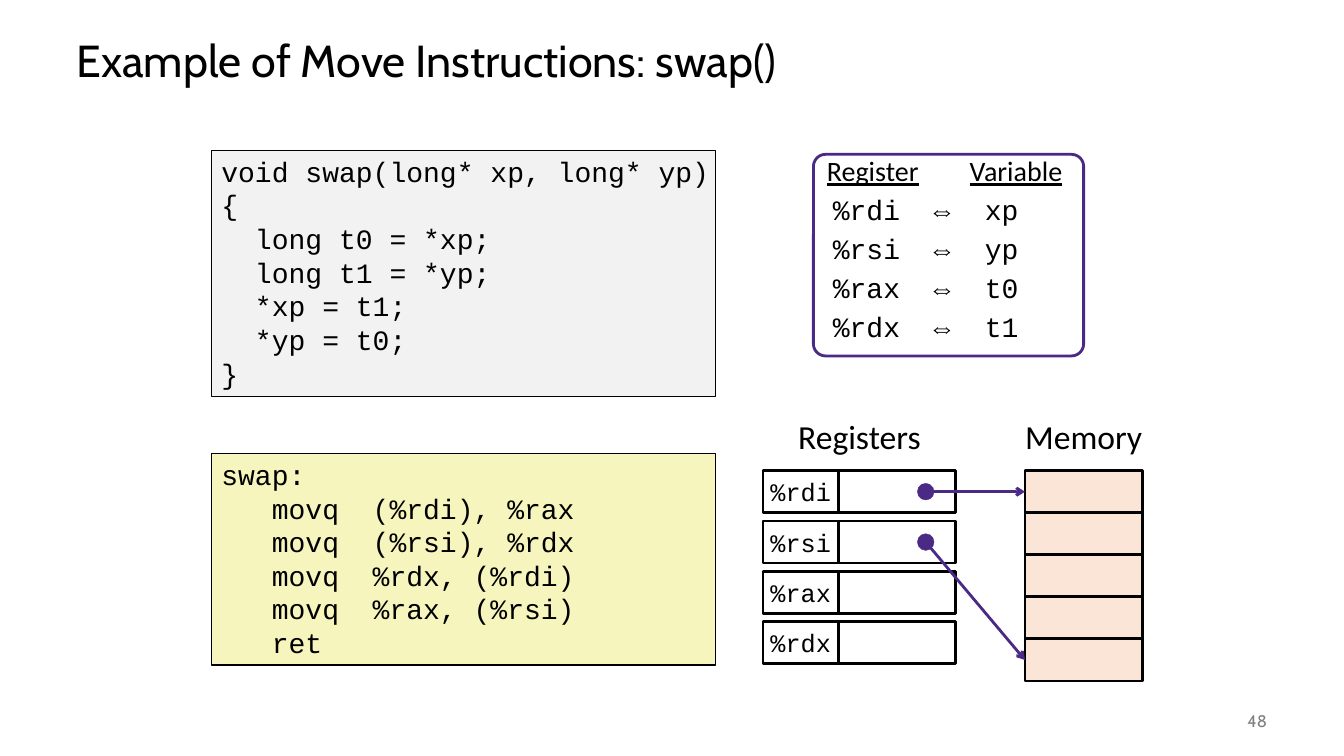
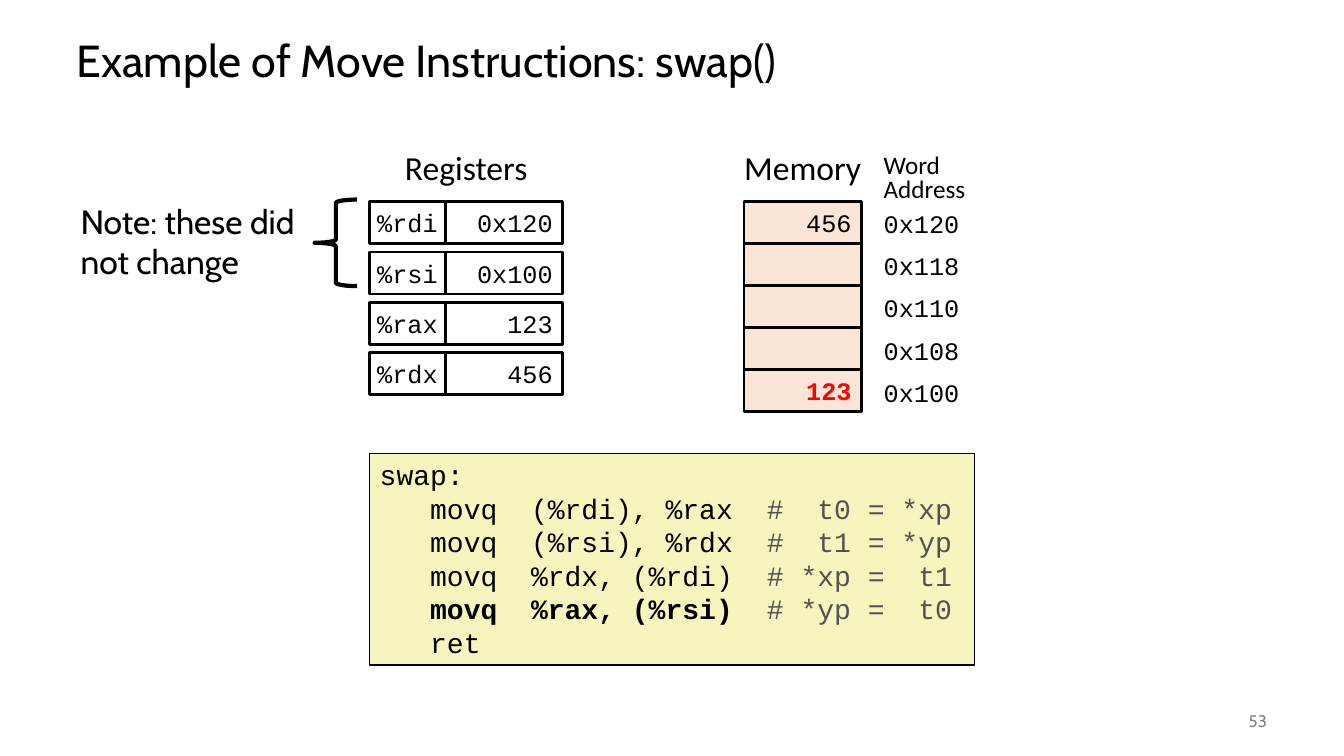
import pptx
import pptx.util
import pptx.dml.color
import pptx.enum.shapes
import pptx.enum.text
import pptx.oxml
import pptx.oxml.ns

Cm = pptx.util.Cm
Pt = pptx.util.Pt
KIND = pptx.enum.shapes.MSO_SHAPE
ALIGN = pptx.enum.text.PP_ALIGN
ANCHOR = pptx.enum.text.MSO_ANCHOR

BLACK, WHITE, GRAY, NOTE = "000000", "FFFFFF", "808080", "525252"
PURPLE, PEACH, YELLOW, SILVER = "4B2A85", "FBE5D6", "F6F5BD", "F2F2F2"
RED = "FF0000"

HEAD = dict(name="Cabin", size=Pt(32), ink=BLACK)
SIDE = dict(HEAD, size=Pt(24))
PAGE = dict(HEAD, size=Pt(12), ink=GRAY)
LABEL = dict(name="Calibri", size=Pt(24), ink=BLACK)
MONO = dict(name="Courier New", size=Pt(18), ink=BLACK)
CODE = dict(MONO, size=Pt(20))
CENTER = dict(alignment=ALIGN.CENTER)
RIGHT = dict(alignment=ALIGN.RIGHT)

PAD = (0.25, 0.13, 0.25, 0.13)
TIGHT = (0, 0, 0, 0)
ROW, PITCH = 1.06, 1.27
NAME, VALUE = 1.9, 2.96
NAMES = ["%rdi", "%rsi", "%rax", "%rdx"]
MOVES = ["movq  (%rdi), %rax", "movq  (%rsi), %rdx",
         "movq  %rdx, (%rdi)", "movq  %rax, (%rsi)"]
NOTES = ["#  t0 = *xp", "#  t1 = *yp", "# *xp =  t1", "# *yp =  t0"]


def ink(code):
    return pptx.dml.color.RGBColor.from_string(code)


def style(item, looks):
    for key, value in looks.items():
        if key == "ink":
            item.color.rgb = ink(value)
        else:
            setattr(item, key, value)


def write(shape, lines, look, para=None, pad=PAD, anchor=ANCHOR.MIDDLE, gap=0, tabs=()):
    frame = shape.text_frame
    left, top, right, bottom = map(Cm, pad)
    style(frame, dict(word_wrap=True, vertical_anchor=anchor, margin_left=left,
                      margin_top=top, margin_right=right, margin_bottom=bottom))
    for index, line in enumerate(lines):
        part = frame.add_paragraph() if index else frame.paragraphs[0]
        style(part, {"alignment": ALIGN.LEFT, **(para or {})})
        if index and gap:
            part.space_before = Pt(gap)
        if tabs:
            props = part._p.get_or_add_pPr()
            stops = pptx.oxml.ns.qn("a:tabLst")
            stops = props.makeelement(stops, {})
            props.append(stops)
            for stop in tabs[min(index, 1)]:
                mark = pptx.oxml.ns.qn("a:tab")
                stops.append(stops.makeelement(mark, {"pos": str(Cm(stop)), "algn": "l"}))
        for words, extra in [(line, {})] if isinstance(line, str) else line:
            run = part.add_run()
            run.text = words
            style(run.font, {**look, **extra})


def text(slide, box, lines, look, **rest):
    write(slide.shapes.add_textbox(*map(Cm, box)), lines, look, **rest)


def draw(slide, kind, box, fill=None, line=BLACK, width=2):
    shape = slide.shapes.add_shape(kind, *map(Cm, box))
    shape.shadow.inherit = False
    if fill:
        shape.fill.solid()
        shape.fill.fore_color.rgb = ink(fill)
    else:
        shape.fill.background()
    shape.line.color.rgb = ink(line)
    shape.line.width = Pt(width)
    return shape


def cell(slide, box, fill, words, para, pad=PAD, **extra):
    shape = draw(slide, KIND.RECTANGLE, box, fill)
    if words:
        write(shape, [words], dict(MONO, **extra), para, pad)


def title(slide, x, y, wide, label):
    text(slide, (x - 0.25, y - 1.52, wide + 0.5, 1.27), [label], LABEL,
         para=CENTER, anchor=ANCHOR.TOP, pad=(0, 0.13, 0, 0.13))


def bank(slide, x, y, values):
    title(slide, x, y, NAME + VALUE, "Registers")
    for index, (name, value) in enumerate(zip(NAMES, values)):
        top = y + index * PITCH
        cell(slide, (x, top, NAME, ROW), WHITE, name, CENTER, TIGHT)
        cell(slide, (x + NAME, top, VALUE, ROW), WHITE, value, RIGHT)


def memory(slide, x, y, values, looks):
    title(slide, x, y, VALUE, "Memory")
    for index, value in enumerate(values):
        cell(slide, (x, y + index * ROW, VALUE, ROW), PEACH, value, RIGHT,
             **looks.get(index, {}))


def words(slide, x, y, marks):
    text(slide, (x, y - 1.3, 2.54, 1.5), ["Word", "Address"],
         dict(LABEL, size=Pt(18)), para=dict(line_spacing=0.8),
         anchor=ANCHOR.TOP, pad=(0.25, 0.13, 0, 0.13))
    for index, mark in enumerate(marks):
        text(slide, (x, y + 0.03 + index * ROW, 2.54, ROW), [mark], MONO,
             pad=(0.25, 0.13, 0, 0.13))


def link(slide, start, end):
    shape = slide.shapes.add_connector(
        pptx.enum.shapes.MSO_CONNECTOR.STRAIGHT, *map(Cm, start + end))
    shape.line.color.rgb = ink(PURPLE)
    shape.line.width = Pt(2)
    props = shape._element.spPr
    qn = pptx.oxml.ns.qn
    edge = props.find(qn("a:ln"))
    edge.append(edge.makeelement(qn("a:tailEnd"), {"type": "arrow"}))
    props.append(props.makeelement(qn("a:effectLst"), {}))
    x, y = start
    size = 0.42
    draw(slide, KIND.OVAL, (x - size / 2, y - size / 2, size, size),
         PURPLE, PURPLE, 0.25)


def code(slide, box, lines, fill):
    shape = draw(slide, KIND.RECTANGLE, box, fill, width=1)
    write(shape, lines, CODE, pad=(0.25, 0.1, 0.1, 0.1), anchor=ANCHOR.TOP)


def legend(slide, box):
    shape = draw(slide, KIND.ROUNDED_RECTANGLE, box, line=PURPLE)
    shape.adjustments[0] = 0.06
    lined = dict(LABEL, size=Pt(20), underline=True)
    lines = [[("Register", lined), ("\t", {}), ("Variable", lined)]]
    lines += [f"\t{name}\t⇔\t{term}"
              for name, term in zip(NAMES, ["xp", "yp", "t0", "t1"])]
    write(shape, lines, CODE, para=dict(line_spacing=0.7), anchor=ANCHOR.TOP,
          gap=11, tabs=[(3.6,), (0.15, 2.69, 3.98)])


def remark(slide, x, y):
    text(slide, (x, y, 6.5, 2.31), ["Note: these did not change"], SIDE,
         anchor=ANCHOR.TOP)
    brace = draw(slide, KIND.LEFT_BRACE, (x + 6.15, y + 0.1, 1.07, 2.18), width=3)
    brace.adjustments[0] = 0.08


def base(deck, number):
    slide = deck.slides.add_slide(deck.slide_layouts[6])
    text(slide, (1.68, 0.64, 30.48, 1.9), ["Example of Move Instructions: swap()"],
         HEAD, para=dict(line_spacing=0.9))
    text(slide, (29.64, 17.65, 2.54, 1.02), [number], PAGE, para=RIGHT)
    return slide


def setup(deck):
    slide = base(deck, "48")
    x, y, far = 19.23, 11.86, 25.83
    bank(slide, x, y, [""] * 4)
    memory(slide, far, y, [""] * 5, {})
    for row, goal in [(0, 0), (1, 4)]:
        link(slide, (x + 4.1, y + row * PITCH + ROW / 2),
             (far, y + goal * ROW + ROW / 2))
    legend(slide, (20.5, 3.89, 6.81, 5.08))
    code(slide, (5.33, 3.79, 12.7, 6.2),
         ["void swap(long* xp, long* yp)", "{", "  long t0 = *xp;",
          "  long t1 = *yp;", "  *xp = t1;", "  *yp = t0;", "}"], SILVER)
    code(slide, (5.33, 11.43, 12.7, 5.33),
         ["swap:", *("   " + move for move in MOVES), "   ret"], YELLOW)


def result(deck):
    slide = base(deck, "53")
    y = 5.08
    bank(slide, 9.32, y, ["0x120", "0x100", "123", "456"])
    memory(slide, 18.75, y, ["456", "", "", "", "123"], {4: dict(ink=RED, bold=True)})
    words(slide, 22.02, y, ["0x120", "0x118", "0x110", "0x108", "0x100"])
    lines = [[("   " + move + "  ", dict(bold=move == MOVES[-1])),
              (note, dict(ink=NOTE))] for move, note in zip(MOVES, NOTES)]
    code(slide, (9.32, 11.43, 15.24, 5.33), ["swap:", *lines, "   ret"], YELLOW)
    remark(slide, 1.78, 4.93)


def main():
    deck = pptx.Presentation()
    style(deck, dict(slide_width=Cm(33.87), slide_height=Cm(19.05)))
    setup(deck)
    result(deck)
    deck.save("out.pptx")


if __name__ == "__main__":
    main()
